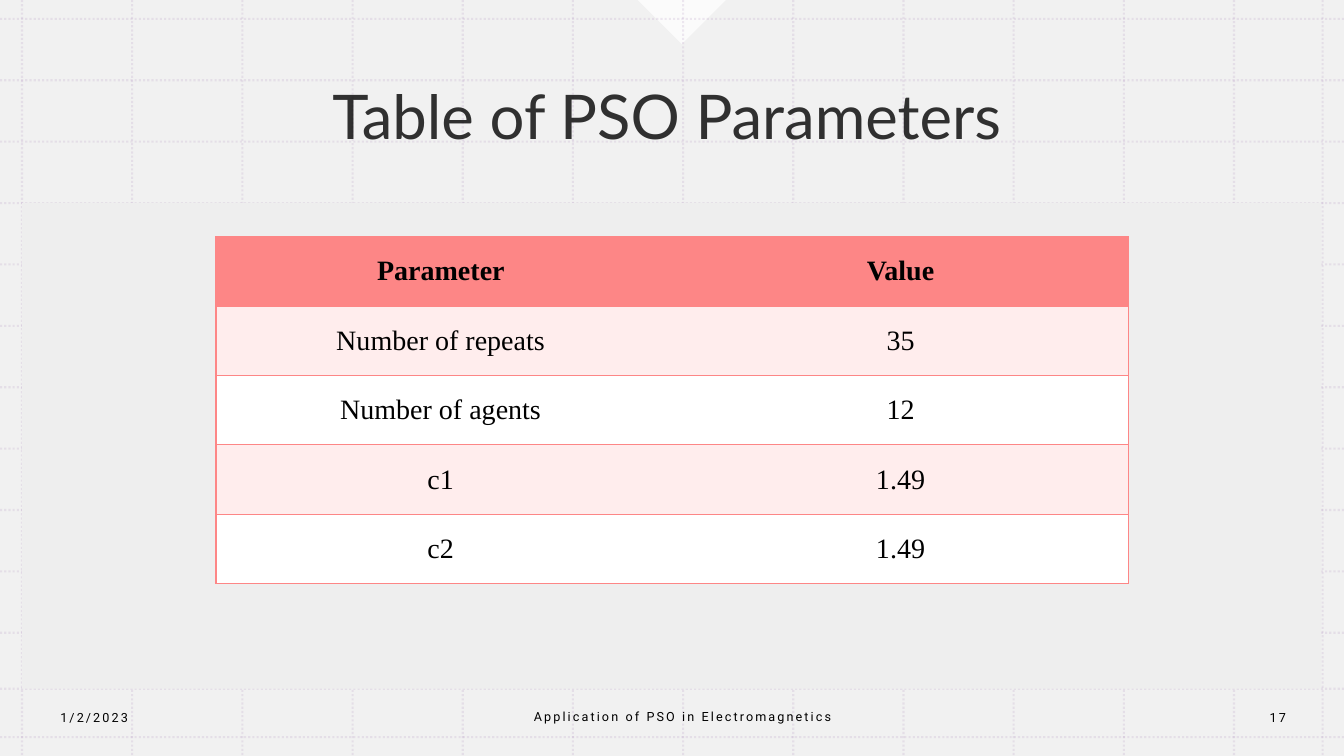
"""Build the slide that tabulates the PSO parameters."""
from lxml import etree
from pptx import Presentation
from pptx.dml.color import RGBColor
from pptx.enum import dml, shapes, text
from pptx.oxml import ns
from pptx.util import Pt

BLACK = RGBColor(0x00, 0x00, 0x00)
WHITE = RGBColor(0xFF, 0xFF, 0xFF)
GREY = RGBColor(0xEE, 0xEE, 0xEE)
LILAC = RGBColor(0xB4, 0x95, 0xC2)
CORAL = RGBColor(0xFD, 0x86, 0x86)
BLUSH = RGBColor(0xFF, 0xED, 0xED)

WIDTH, HEIGHT = 960, 540
PLAIN_TABLE = "{2D5ABB26-0587-4C30-8999-92F81FD0307C}"
PARAMETERS = [
    ("Parameter ", "Value"),
    ("Number of repeats ", "35"),
    ("Number of agents ", "12"),
    ("c1 ", "1.49"),
    ("c2 ", "1.49"),
]


class Slide:
    def __init__(self, page):
        self.page = page

    def fade(self, element, percent):
        for colour in element.xpath(".//a:srgbClr"):
            etree.SubElement(colour, ns.qn("a:alpha"), val=str(percent * 1000))

    def panel(self, kind, left, top, width, height, colour, opacity=100, turn=0):
        shape = self.page.shapes.add_shape(
            kind, Pt(left), Pt(top), Pt(width), Pt(height))
        shape.shadow.inherit = False
        shape.line.fill.background()
        shape.fill.solid()
        shape.fill.fore_color.rgb = colour
        shape.rotation = turn
        if opacity < 100:
            self.fade(shape.fill._xPr, opacity)

    def grid_line(self, x1, y1, x2, y2):
        rule = self.page.shapes.add_connector(
            shapes.MSO_CONNECTOR.STRAIGHT, Pt(x1), Pt(y1), Pt(x2), Pt(y2))
        rule.line.width = Pt(1.5)
        rule.line.color.rgb = LILAC
        rule.line.dash_style = dml.MSO_LINE.ROUND_DOT
        properties = rule._element.spPr
        self.fade(properties, 20)
        etree.SubElement(properties, ns.qn("a:effectLst"))

    def style(self, para, font, size, align, bold=False):
        para.alignment = align
        para.font.name = font
        para.font.size = Pt(size)
        para.font.bold = bold
        para.font.color.rgb = BLACK

    def label(self, words, left, top, width, height, font="Roboto", size=9,
              align=text.PP_ALIGN.CENTER, tracking=1.5, opacity=100, spacing=1.0):
        box = self.page.shapes.add_textbox(
            Pt(left), Pt(top), Pt(width), Pt(height))
        frame = box.text_frame
        frame.word_wrap = True
        frame.vertical_anchor = text.MSO_ANCHOR.MIDDLE
        para = frame.paragraphs[0]
        para.text = words
        para.line_spacing = spacing
        self.style(para, font, size, align)
        defaults = para._p.xpath(".//a:defRPr")[0]
        defaults.set("spc", str(int(tracking * 100)))
        if opacity < 100:
            self.fade(defaults, opacity)

    def border(self, cell, sides):
        properties = cell._tc.get_or_add_tcPr()
        for side in sides:
            edge = etree.SubElement(
                properties, ns.qn(f"a:ln{side}"), w=str(Pt(1)))
            fill = etree.SubElement(edge, ns.qn("a:solidFill"))
            etree.SubElement(fill, ns.qn("a:srgbClr"), val=str(CORAL))

    def table(self, rows, left, top, width, height):
        table = self.page.shapes.add_table(
            len(rows), len(rows[0]), Pt(left), Pt(top), Pt(width), Pt(height)).table
        table._tbl.tblPr.find(ns.qn("a:tableStyleId")).text = PLAIN_TABLE
        table.horz_banding = False
        for r, row in enumerate(rows):
            for c, words in enumerate(row):
                cell = table.cell(r, c)
                cell.vertical_anchor = text.MSO_ANCHOR.MIDDLE
                self.border(cell, "RTB" if c else "LTB")
                cell.fill.solid()
                cell.fill.fore_color.rgb = (
                    CORAL if r == 0 else BLUSH if r % 2 else WHITE)
                para = cell.text_frame.paragraphs[0]
                para.text = words
                self.style(para, "Times New Roman", 20,
                           text.PP_ALIGN.CENTER, bold=r == 0)


def main():
    deck = Presentation()
    deck.slide_width, deck.slide_height = Pt(WIDTH), Pt(HEIGHT)
    slide = Slide(deck.slides.add_slide(deck.slide_layouts[6]))
    rectangle = shapes.MSO_SHAPE.RECTANGLE

    slide.panel(rectangle, 0, 0, WIDTH, HEIGHT, GREY, opacity=80)
    slide.panel(shapes.MSO_SHAPE.RIGHT_TRIANGLE, 464.75, -22.3, 44.6, 44.6,
                WHITE, opacity=75, turn=315)
    for x in [15.75 + 78.7 * i for i in range(12)] + [944.8]:
        slide.grid_line(x, 0, x, HEIGHT)
    for y in [13.5 + 43.85 * i for i in range(11)] + [492, 526.5]:
        slide.grid_line(0, y, WIDTH, y)
    slide.panel(rectangle, 15.75, 145, 928, 347, GREY)

    slide.label("Table of PSO Parameters", 23.5, 26.5, 906, 118, font="Lato",
                size=44, tracking=0, opacity=80, spacing=0.9)
    slide.table(PARAMETERS, 154.25, 169, 652, 248)
    slide.label("1/2/2023", 36, 498, 201.6, 29, align=text.PP_ALIGN.LEFT)
    slide.label("Application of PSO in Electromagnetics", 330.5, 497.5, 314, 29)
    slide.label("17", 881.5, 498, 62.5, 29)
    deck.save("out.pptx")


if __name__ == "__main__":
    main()
